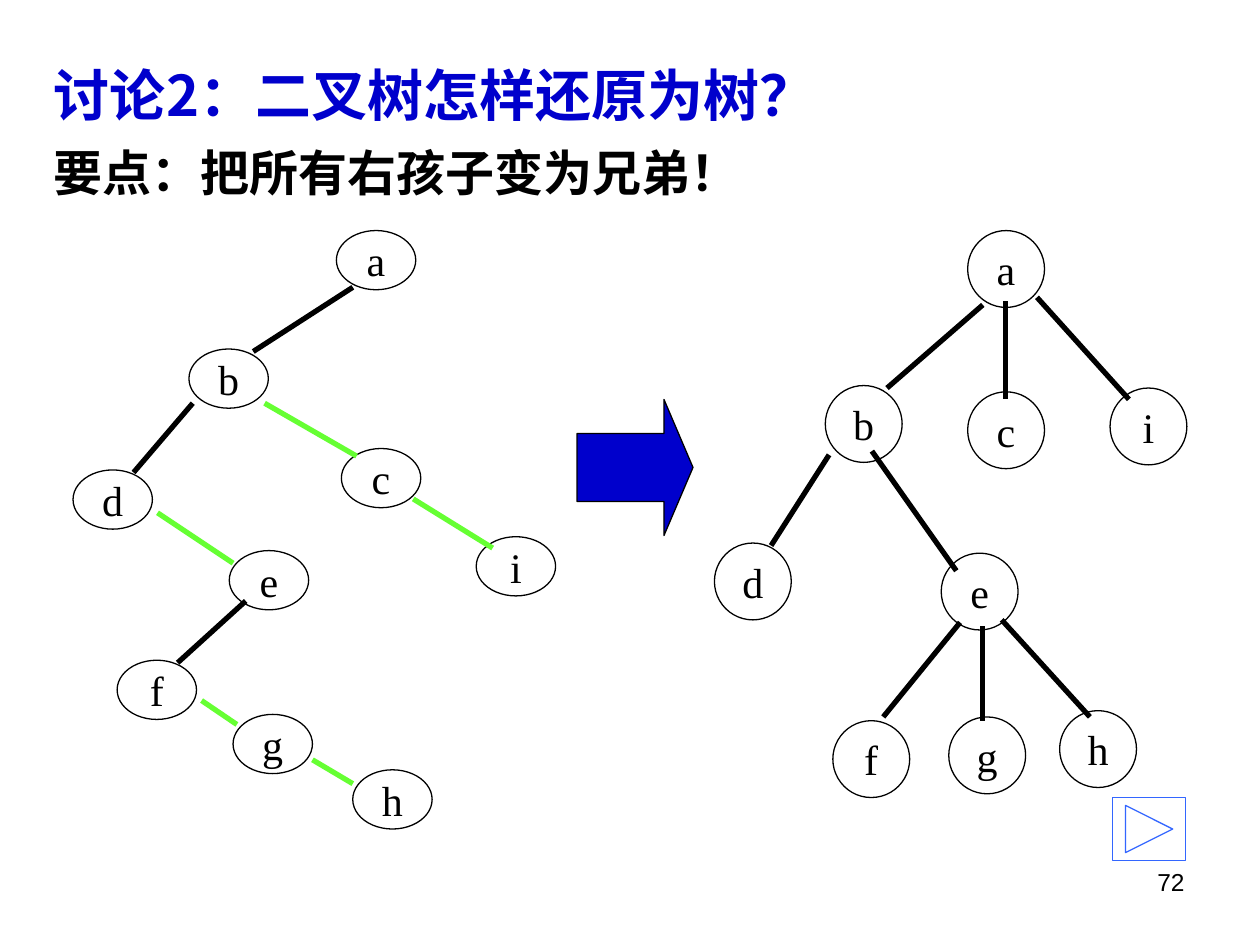
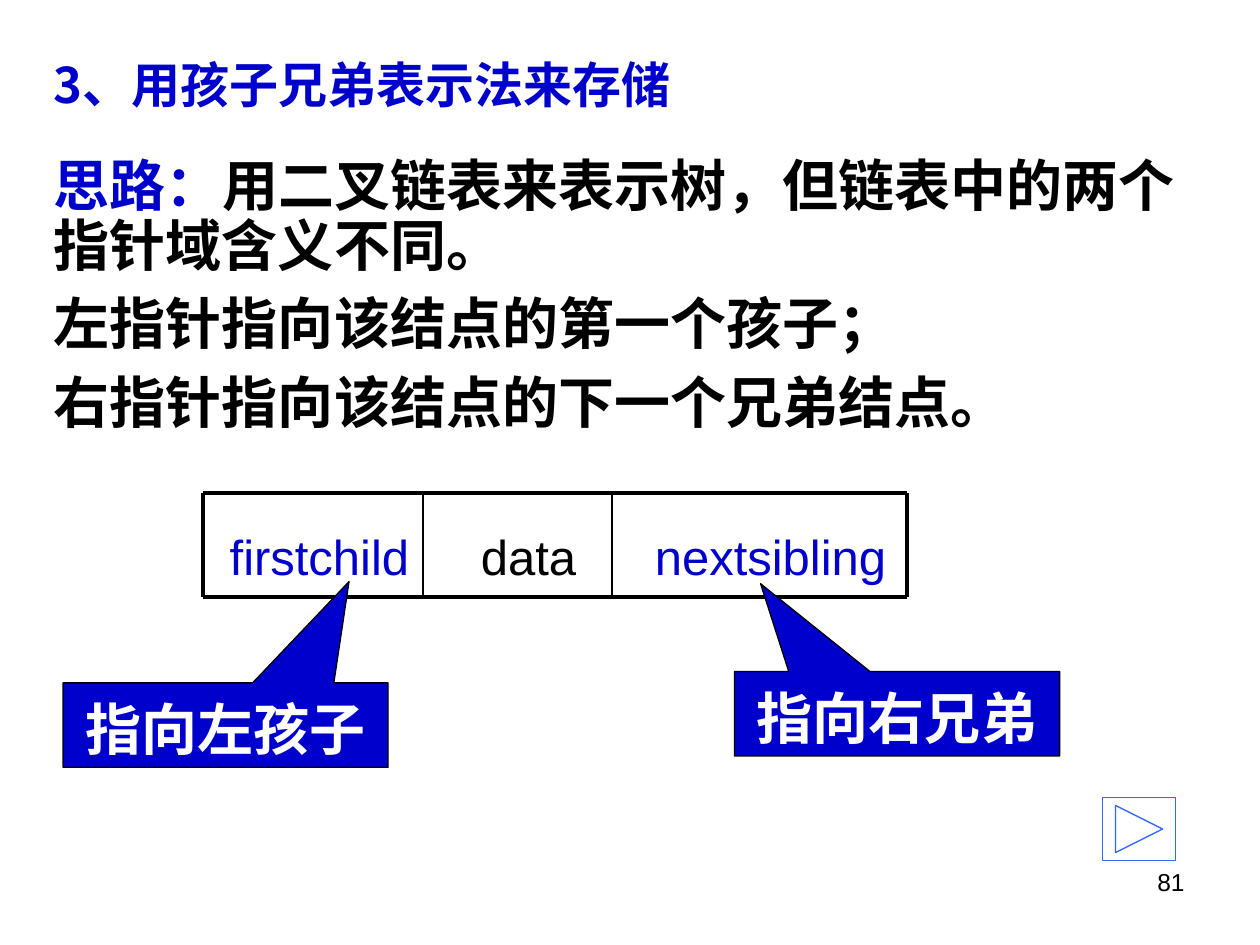
from dataclasses import dataclass

from lxml.etree import SubElement
from pptx import Presentation
from pptx.dml.color import RGBColor as Rgb
from pptx.enum.shapes import MSO_CONNECTOR as Link, MSO_SHAPE as Kind
from pptx.enum.text import MSO_ANCHOR as Anchor, PP_ALIGN as Align
from pptx.oxml.ns import qn
from pptx.util import Inches, Pt


@dataclass(frozen=True)
class Theme:
    blue: str = "0000CC"
    black: str = "000000"
    white: str = "FFFFFF"
    green: str = "66FF33"
    sky: str = "3366FF"
    hei: str = "Noto Sans CJK SC"
    sans: str = "Arial"
    serif: str = "Times New Roman"
    big: int = 32
    mid: int = 28
    node: int = 24
    page: int = 14
    thin: float = 0.75
    rule: float = 1
    frame: float = 2.25
    edge: float = 3


T = Theme()

# Content: slide with the two trees
TREE = {
    "title": ("讨论2：二叉树怎样还原为树？", (0.33, 0.33, 6.92, 0.83), T.big),
    "page": "72",
    "button": 8.83,
    "key": "要点：把所有右孩子变为兄弟！",
}
BINARY = {
    "size": (0.63, 0.47),
    "fill": None,
    "nodes": {
        "a": (2.67, 1.83), "b": (1.5, 2.77), "c": (2.71, 3.56),
        "d": (0.58, 3.73), "e": (1.82, 4.37), "f": (0.93, 5.24),
        "g": (1.85, 5.67), "h": (2.8, 6.11), "i": (3.78, 4.26),
    },
    "edges": {
        T.black: [(2.8, 2.28, 2.01, 2.79), (1.53, 3.2, 1.06, 3.75),
                  (1.95, 4.77, 1.41, 5.26)],
        T.green: [(2.1, 3.2, 2.83, 3.62), (3.28, 3.96, 3.91, 4.35),
                  (1.25, 4.07, 1.85, 4.47), (1.6, 5.56, 1.88, 5.75),
                  (2.48, 6.03, 2.8, 6.22)],
    },
}
GENERAL = {
    "size": (0.61, 0.61),
    "fill": T.white,
    "nodes": {
        "a": (7.68, 1.83), "b": (6.55, 3.06), "c": (7.68, 3.11),
        "d": (5.67, 4.31), "e": (7.47, 4.39), "f": (6.61, 5.72),
        "g": (7.53, 5.69), "h": (8.41, 5.64), "i": (8.81, 3.08),
    },
    "edges": {
        T.black: [(7.8, 2.42, 7.04, 3.08), (7.98, 2.39, 7.98, 3.17),
                  (8.23, 2.36, 8.96, 3.17), (6.58, 3.61, 6.12, 4.33),
                  (6.92, 3.58, 7.59, 4.53), (7.62, 4.94, 7.01, 5.69),
                  (7.8, 4.97, 7.8, 5.72), (7.95, 4.92, 8.65, 5.69)],
    },
}

# Content: slide on child-sibling storage
STORE = {
    "title": ("3、用孩子兄弟表示法来存储", (0.33, 0.33, 5.33, 0.67), T.mid),
    "page": "81",
    "button": 8.75,
}
IDEA = [
    [("思路：", T.blue), ("用二叉链表来表示树，但链表中的两个指针域含义不同。", T.black)],
    [("左指针指向该结点的第一个孩子；", T.black)],
    [("右指针指向该结点的下一个兄弟结点。", T.black)],
]
RECORD_X = [1.61, 3.36, 4.86, 7.2]
RECORD_Y = [3.91, 4.74]
FIELDS = [  # text, left, width, colour
    ("firstchild", 1.7, 1.67, T.blue),
    ("data", 3.53, 1.33, T.black),
    ("nextsibling", 5.03, 2.17, T.blue),
]
NOTES = [  # text, left, top, tip
    ("指向左孩子", 0.5, 5.42, (0.38, -1.7)),
    ("指向右兄弟", 5.83, 5.33, (-0.42, -1.54)),
]


def style(run, face, size, color, bold=False):
    font = run.font
    font.name, font.size, font.bold = face, Pt(size), bold
    font.color.rgb = Rgb.from_string(color)
    SubElement(run._r.get_or_add_rPr(), qn("a:ea"), typeface=face)


def write(frame, text, face, size, color, bold=False, align=Align.LEFT):
    frame.text = text
    para = frame.paragraphs[0]
    para.alignment = align
    style(para.runs[0], face, size, color, bold)
    return para


def text_box(slide, box):
    frame = slide.shapes.add_textbox(*map(Inches, box)).text_frame
    frame.word_wrap = True
    return frame


def add_shape(slide, kind, box, fill=None, line=T.black):
    shape = slide.shapes.add_shape(kind, *map(Inches, box))
    shape.shadow.inherit = False
    if fill:
        shape.fill.solid()
        shape.fill.fore_color.rgb = Rgb.from_string(fill)
    else:
        shape.fill.background()
    shape.line.color.rgb = Rgb.from_string(line)
    shape.line.width = Pt(T.thin)
    return shape


def add_line(slide, ends, width, color=T.black):
    line = slide.shapes.add_connector(Link.STRAIGHT, *map(Inches, ends))
    line.line.color.rgb = Rgb.from_string(color)
    line.line.width = Pt(width)
    SubElement(line._element.spPr, qn("a:effectLst"))


def new_slide(deck, data):
    """Start a slide with its title, page number and forward button."""
    slide = deck.slides.add_slide(deck.slide_layouts[6])
    text, box, size = data["title"]
    frame = text_box(slide, box)
    frame.vertical_anchor = Anchor.MIDDLE
    write(frame, text, T.hei, size, T.blue, True)
    write(text_box(slide, (7.17, 6.83, 2.33, 0.52)), data["page"],
          T.sans, T.page, T.black, align=Align.RIGHT)
    add_shape(slide, Kind.ACTION_BUTTON_FORWARD_OR_NEXT,
              (data["button"], 6.33, 0.58, 0.5), line=T.sky)
    return slide


def draw_tree(slide, tree):
    for name, spot in tree["nodes"].items():
        node = add_shape(slide, Kind.OVAL, spot + tree["size"], tree["fill"])
        frame = node.text_frame
        frame.word_wrap = False
        frame.vertical_anchor = Anchor.MIDDLE
        write(frame, name, T.serif, T.node, T.black, align=Align.CENTER)
    for color, edges in tree["edges"].items():
        for ends in edges:
            add_line(slide, ends, T.edge, color)


def tree_slide(deck):
    slide = new_slide(deck, TREE)
    write(text_box(slide, (0.33, 1.08, 5.75, 0.63)), TREE["key"],
          T.hei, T.mid, T.black, True)
    draw_tree(slide, BINARY)
    draw_tree(slide, GENERAL)
    arrow = add_shape(slide, Kind.RIGHT_ARROW, (4.58, 3.17, 0.92, 1.08), T.blue)
    arrow.adjustments[0], arrow.adjustments[1] = 0.5, 0.25


def store_slide(deck):
    slide = new_slide(deck, STORE)

    # Idea in three paragraphs
    frame = text_box(slide, (0.33, 1.2, 9.17, 2.34))
    for i, parts in enumerate(IDEA):
        para = frame.add_paragraph() if i else frame.paragraphs[0]
        para.line_spacing = Pt(38.5 if i else 34.3)
        para.space_before = Pt(6.4 if i else 0)
        for text, color in parts:
            run = para.add_run()
            run.text = text
            style(run, T.hei, T.big, color, True)

    # Record with three fields
    for text, left, width, color in FIELDS:
        write(text_box(slide, (left, 4.13, width, 0.58)), text,
              T.sans, T.mid, color, align=Align.CENTER)
    for y in RECORD_Y:
        add_line(slide, (RECORD_X[0], y, RECORD_X[-1], y), T.frame)
    for x in RECORD_X:
        outer = x in (RECORD_X[0], RECORD_X[-1])
        add_line(slide, (x, RECORD_Y[0], x, RECORD_Y[1]),
                 T.frame if outer else T.rule)

    # Callouts for the two pointers
    for text, left, top, tip in NOTES:
        note = add_shape(slide, Kind.RECTANGULAR_CALLOUT,
                         (left, top, 2.58, 0.67), T.blue)
        note.adjustments[0], note.adjustments[1] = tip
        note.text_frame.vertical_anchor = Anchor.TOP
        para = write(note.text_frame, text, T.hei, T.big, T.white, True,
                     Align.CENTER)
        para.line_spacing = Pt(41.5)


def main():
    deck = Presentation()
    deck.slide_width, deck.slide_height = Inches(10), Inches(7.5)
    tree_slide(deck)
    store_slide(deck)
    deck.save("out.pptx")


if __name__ == "__main__":
    main()
